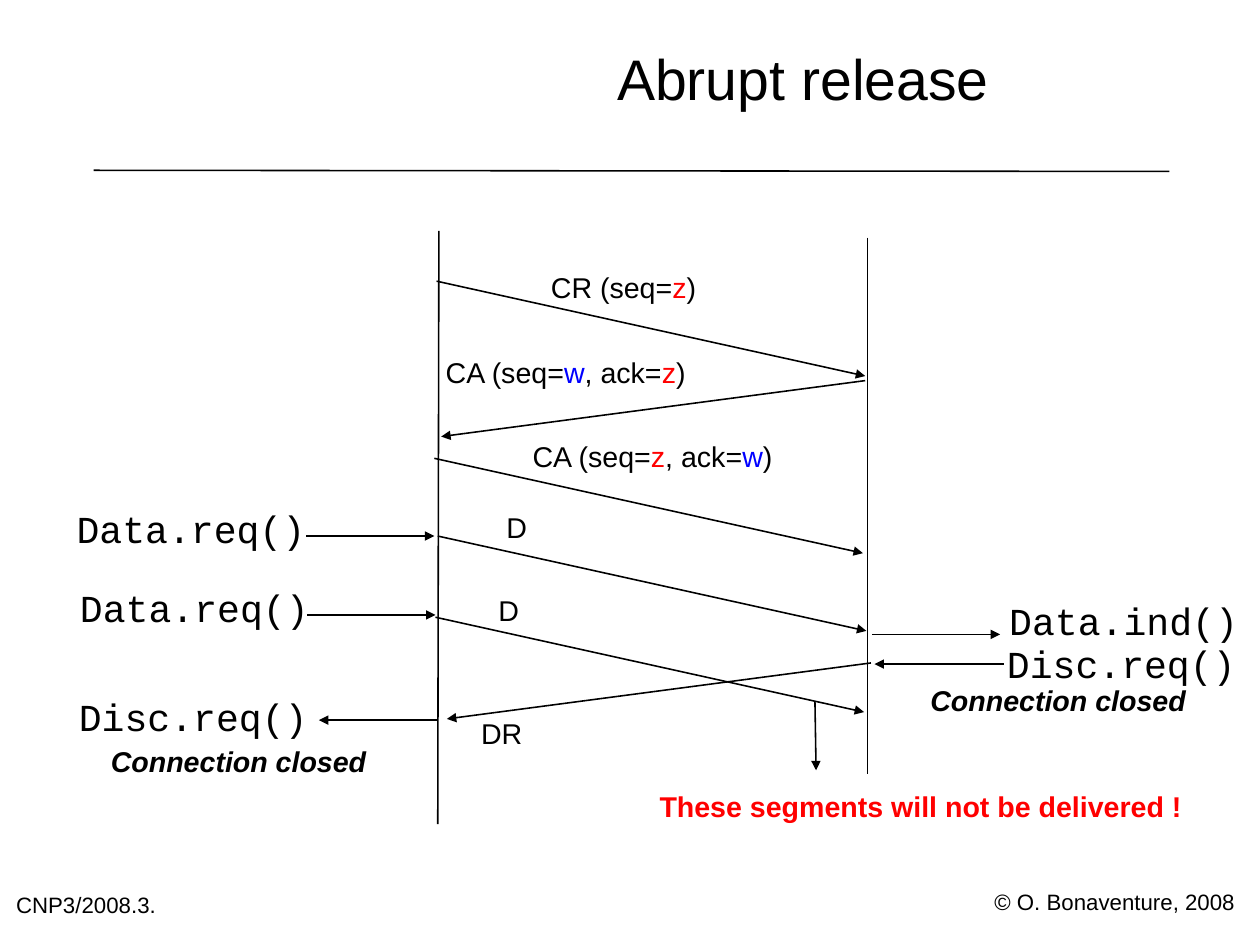
from pptx import Presentation
from pptx.dml.color import RGBColor
from pptx.enum import shapes, text
from pptx.oxml.ns import qn
from pptx.util import Inches, Pt
from lxml import etree

BLACK, RED, BLUE = "000000", "FF0000", "0000FF"
SEQUENCE_COLORS = {"z": RED, "w": BLUE}
CM_PER_INCH = 2.54

prs = Presentation()
prs.slide_width = Inches(28 / CM_PER_INCH)
prs.slide_height = Inches(21 / CM_PER_INCH)
s = prs.slides.add_slide(prs.slide_layouts[6])


def add_line(x1, y1, x2, y2, arrow=True):
    c = s.shapes.add_connector(shapes.MSO_CONNECTOR.STRAIGHT,
                               Inches(x1), Inches(y1), Inches(x2), Inches(y2))
    c.line.color.rgb = RGBColor.from_string(BLACK)
    c.line.width = Pt(1)
    if arrow:
        etree.SubElement(c.line._get_or_add_ln(), qn("a:tailEnd"), type="triangle")
    etree.SubElement(c._element.spPr, qn("a:effectLst"))


def add_text(x, y, w, h, parts, size=18, font="Arial", color=BLACK,
             bold=False, italic=False, wrap=False, spacing=0.84):
    sp = s.shapes.add_textbox(Inches(x), Inches(y), Inches(w), Inches(h))
    tf = sp.text_frame
    tf.margin_left = tf.margin_right = tf.margin_top = tf.margin_bottom = 0
    tf.word_wrap = wrap
    tf.auto_size = text.MSO_AUTO_SIZE.NONE if wrap else text.MSO_AUTO_SIZE.SHAPE_TO_FIT_TEXT
    p = tf.paragraphs[0]
    p.line_spacing = spacing
    for part in parts:
        r = p.add_run()
        r.text = part
        r.font.size, r.font.name = Pt(size), font
        r.font.bold, r.font.italic = bold, italic
        r.font.color.rgb = RGBColor.from_string(SEQUENCE_COLORS.get(part, color))
    return tf


title = add_text(3.73, 0, 6.59, 1.46, ["Abrupt release"], size=36, wrap=True)
title.vertical_anchor = text.MSO_ANCHOR.MIDDLE
title.paragraphs[0].alignment = text.PP_ALIGN.CENTER
add_text(8.7, 7.81, 2.13, 0.2, ["© O. Bonaventure, 2008"], size=14)
add_text(0.14, 7.84, 1.68, 0.24, ["CNP3/2008.3."], size=14, wrap=True)

title_rule = (0.82, 1.49, 10.23, 1.5)
left_timeline = (3.84, 2.02, 3.83, 7.21)
right_timeline = (7.59, 2.08, 7.59, 6.77)
for ends in (title_rule, left_timeline, right_timeline):
    add_line(*ends, arrow=False)

for x, y in [(3.82, 2.46), (3.8, 4.01), (3.83, 4.69), (3.81, 5.4)]:
    add_line(x, y, x + 3.75, y + 0.83)

for x, y in [(7.57, 3.33), (7.62, 5.8)]:
    add_line(x, y, x - 3.71, y + 0.49)

for x1, x2, y in [(2.68, 3.8, 4.69), (2.69, 3.81, 5.38), (3.82, 2.79, 6.3),
                  (7.63, 8.75, 5.55), (8.78, 7.65, 5.81)]:
    add_line(x1, y, x2, y)

add_line(7.13, 6.14, 7.14, 6.74)

for x, y, w, parts in [
    (4.82, 2.41, 1.32, ["CR (seq=", "z", ")"]),
    (3.9, 3.15, 2.14, ["CA (seq=", "w", ", ack=", "z", ")"]),
    (4.66, 3.89, 2.14, ["CA (seq=", "z", ", ack=", "w", ")"]),
    (4.43, 4.51, 0.25, ["D"]),
    (4.36, 5.24, 0.25, ["D"]),
    (4.21, 6.31, 0.43, ["DR"]),
]:
    add_text(x, y, w, 0.25, parts)

for x, y, primitive in [(0.67, 4.49, "Data.req()"), (0.7, 5.18, "Data.req()"),
                        (0.69, 6.13, "Disc.req()"), (8.83, 5.29, "Data.ind()"),
                        (8.81, 5.67, "Disc.req()")]:
    add_text(x, y, 2, 0.34, [primitive], size=24, font="Courier New")

for x, y in [(8.14, 5.99), (0.97, 6.53)]:
    add_text(x, y, 2.26, 0.29, ["Connection closed"], bold=True, italic=True, spacing=0.97)

add_text(5.77, 6.95, 4.65, 0.25, ["These segments will not be delivered !"],
         color=RED, bold=True)

prs.save("out.pptx")
